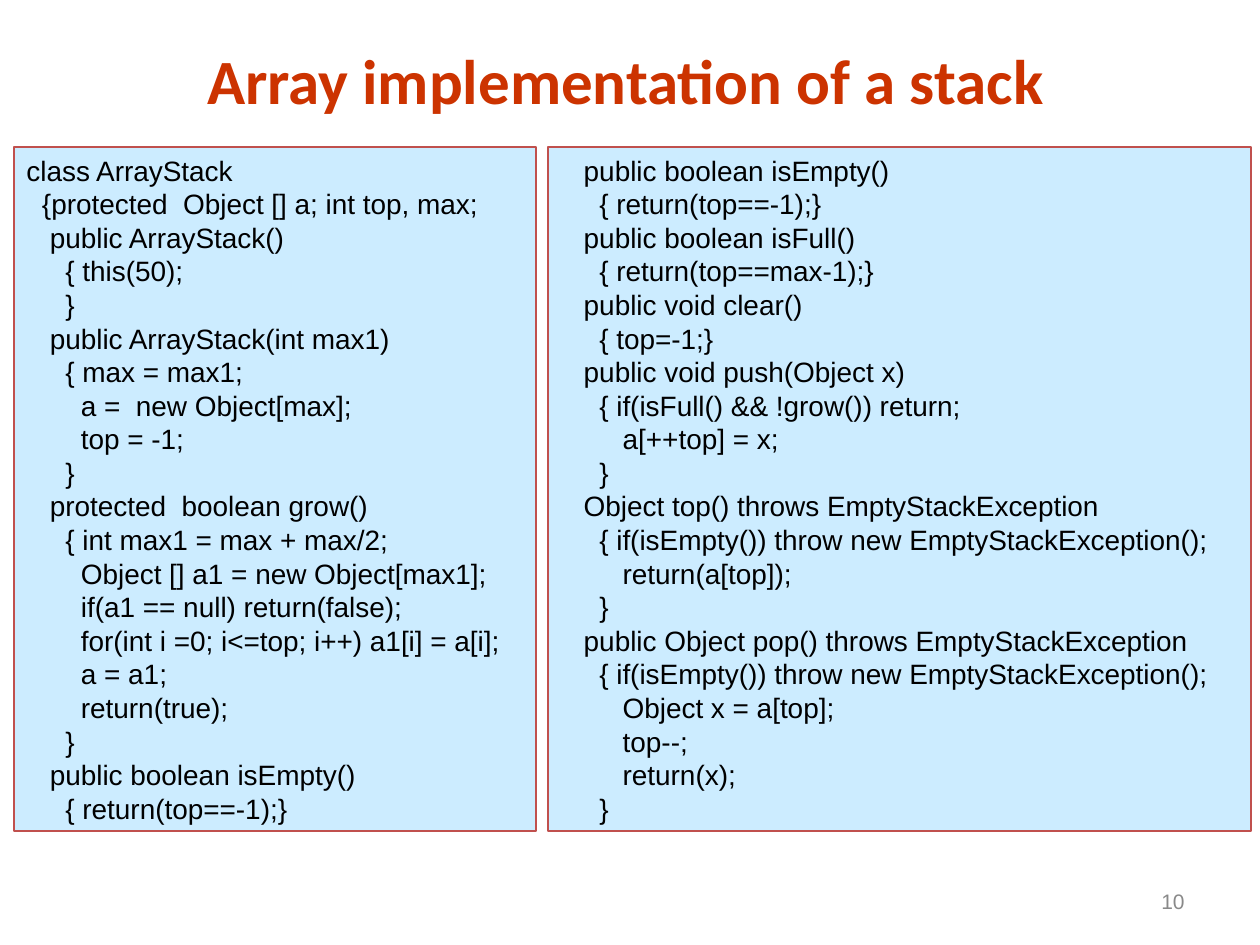
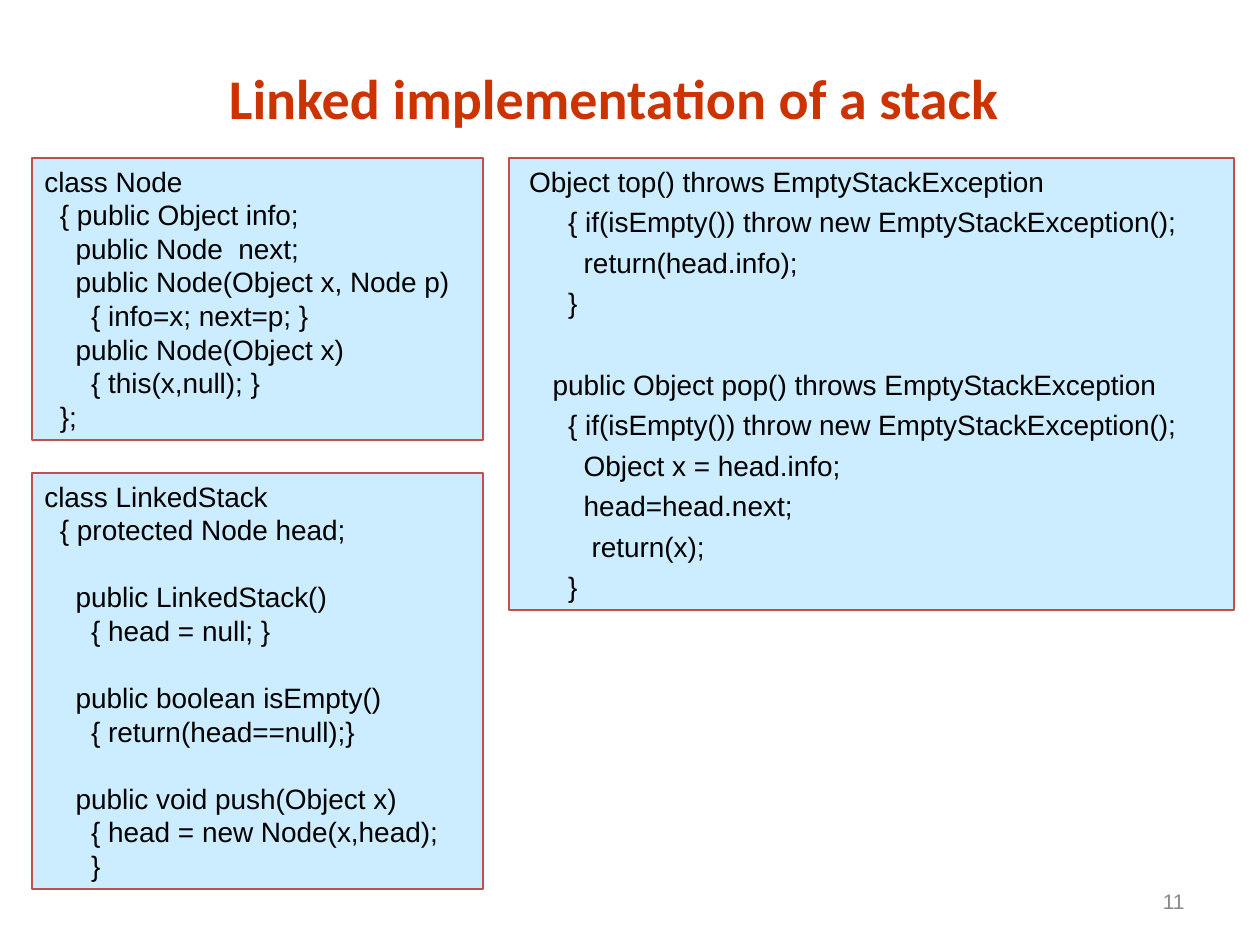
"""Build two slides that compare array and linked stack implementations."""
import dataclasses

import pptx
import pptx.dml.color
import pptx.enum.shapes
import pptx.enum.text
import pptx.util

PX = 914400 / 126
ALIGN = pptx.enum.text.PP_ALIGN


@dataclasses.dataclass(frozen=True)
class Theme:
    title_color: str = "CC3300"
    code_color: str = "000000"
    number_color: str = "898989"
    panel_fill: str = "CCECFF"
    panel_line: str = "C0504D"
    title_font: str = "Calibri"
    body_font: str = "Arial"
    code_size: int = 16
    number_size: int = 12
    line_width: float = 1.5
    code_pitch: float = 19.2
    space_width: float = 4.45


THEME = Theme()

ARRAY_SETUP = """\
class ArrayStack
  {protected  Object [] a; int top, max;
   public ArrayStack()
     { this(50);
     }
   public ArrayStack(int max1)
     { max = max1;
       a =  new Object[max];
       top = -1;
     }
   protected  boolean grow()
     { int max1 = max + max/2;
       Object [] a1 = new Object[max1];
       if(a1 == null) return(false);
       for(int i =0; i<=top; i++) a1[i] = a[i];
       a = a1;
       return(true);
     }
   public boolean isEmpty()
     { return(top==-1);}"""

ARRAY_METHODS = """\
   public boolean isEmpty()
     { return(top==-1);}
   public boolean isFull()
     { return(top==max-1);}
   public void clear()
     { top=-1;}
   public void push(Object x)
     { if(isFull() && !grow()) return;
        a[++top] = x;
     }
   Object top() throws EmptyStackException
     { if(isEmpty()) throw new EmptyStackException();
        return(a[top]);
     }
   public Object pop() throws EmptyStackException
     { if(isEmpty()) throw new EmptyStackException();
        Object x = a[top];
        top--;
        return(x);
     }"""

NODE_CLASS = """\
class Node
  { public Object info;
    public Node  next;
    public Node(Object x, Node p)
      { info=x; next=p; }
    public Node(Object x)
      { this(x,null); }
  };"""

LINKED_SETUP = """\
class LinkedStack
  { protected Node head;

    public LinkedStack()
      { head = null; }

    public boolean isEmpty()
      { return(head==null);}

    public void push(Object x)
      { head = new Node(x,head);
      }"""

LINKED_METHODS = """\
 Object top() throws EmptyStackException
      { if(isEmpty()) throw new EmptyStackException();
        return(head.info);
      }

    public Object pop() throws EmptyStackException
      { if(isEmpty()) throw new EmptyStackException();
        Object x = head.info;
        head=head.next;
         return(x);
      }"""


def px(*lengths):
    return [round(length * PX) for length in lengths]


def rgb(color):
    return pptx.dml.color.RGBColor.from_string(color)


def set_frame(frame, anchor):
    frame.word_wrap = True
    frame.vertical_anchor = anchor
    frame.margin_left = frame.margin_right = pptx.util.Inches(0.1)
    frame.margin_top = frame.margin_bottom = pptx.util.Inches(0.05)


def format_paragraph(para, font, size, color, align, bold=False):
    para.alignment = align
    for span in para.runs:
        span.font.name = font
        span.font.size = pptx.util.Pt(size)
        span.font.bold = bold
        span.font.color.rgb = rgb(color)


def add_label(page, bounds, text, font, size, color, align, bold=False):
    frame = page.shapes.add_textbox(*px(*bounds)).text_frame
    set_frame(frame, pptx.enum.text.MSO_ANCHOR.MIDDLE)
    frame.text = text
    format_paragraph(frame.paragraphs[0], font, size, color, align, bold)


def add_title(page, bounds, text, size):
    add_label(page, bounds, text, THEME.title_font, size, THEME.title_color,
              ALIGN.CENTER, True)


def add_page_number(page, number):
    add_label(page, (903, 876, 294, 50), str(number), THEME.body_font,
              THEME.number_size, THEME.number_color, ALIGN.RIGHT)


def code_rows(code, spacing):
    """Return (text, indent, space before) in points; blank lines become space."""
    rows, gap = [], spacing
    for line in code.splitlines():
        text = line.lstrip()
        if text:
            rows.append((text, (len(line) - len(text)) * THEME.space_width, gap))
            gap = spacing
        else:
            gap += THEME.code_pitch + spacing
    return rows


def add_code_panel(page, bounds, code, spacing=0):
    box = page.shapes.add_shape(pptx.enum.shapes.MSO_SHAPE.RECTANGLE, *px(*bounds))
    box.shadow.inherit = False
    box.fill.solid()
    box.fill.fore_color.rgb = rgb(THEME.panel_fill)
    box.line.color.rgb = rgb(THEME.panel_line)
    box.line.width = pptx.util.Pt(THEME.line_width)
    frame = box.text_frame
    set_frame(frame, pptx.enum.text.MSO_ANCHOR.TOP)
    rows = code_rows(code, spacing)
    frame.text = "\n".join(text for text, _, _ in rows)
    for para, (_, indent, gap) in zip(frame.paragraphs, rows):
        format_paragraph(para, THEME.body_font, THEME.code_size, THEME.code_color,
                         ALIGN.LEFT)
        para.line_spacing = pptx.util.Pt(THEME.code_pitch)
        para.space_before = pptx.util.Pt(gap)
        properties = para._p.get_or_add_pPr()
        properties.set("marL", str(pptx.util.Pt(indent)))
        properties.set("indent", "0")


def build_array_slide(page):
    add_title(page, (32, 35, 1187, 88), "Array implementation of a stack", 36)
    add_code_panel(page, (14, 147, 522, 684), ARRAY_SETUP)
    add_code_panel(page, (548, 147, 703, 684), ARRAY_METHODS)
    add_page_number(page, 10)


def build_linked_slide(page):
    add_title(page, (42, 57, 1144, 81), "Linked implementation of a stack", 32)
    add_code_panel(page, (32, 158, 451, 282), NODE_CLASS)
    add_code_panel(page, (32, 473, 451, 416), LINKED_SETUP)
    add_code_panel(page, (509, 158, 725, 452), LINKED_METHODS, spacing=4)
    add_page_number(page, 11)


def main():
    deck = pptx.Presentation()
    deck.slide_width, deck.slide_height = px(1260, 945)
    for build in (build_array_slide, build_linked_slide):
        build(deck.slides.add_slide(deck.slide_layouts[6]))
    deck.save("out.pptx")


if __name__ == "__main__":
    main()
